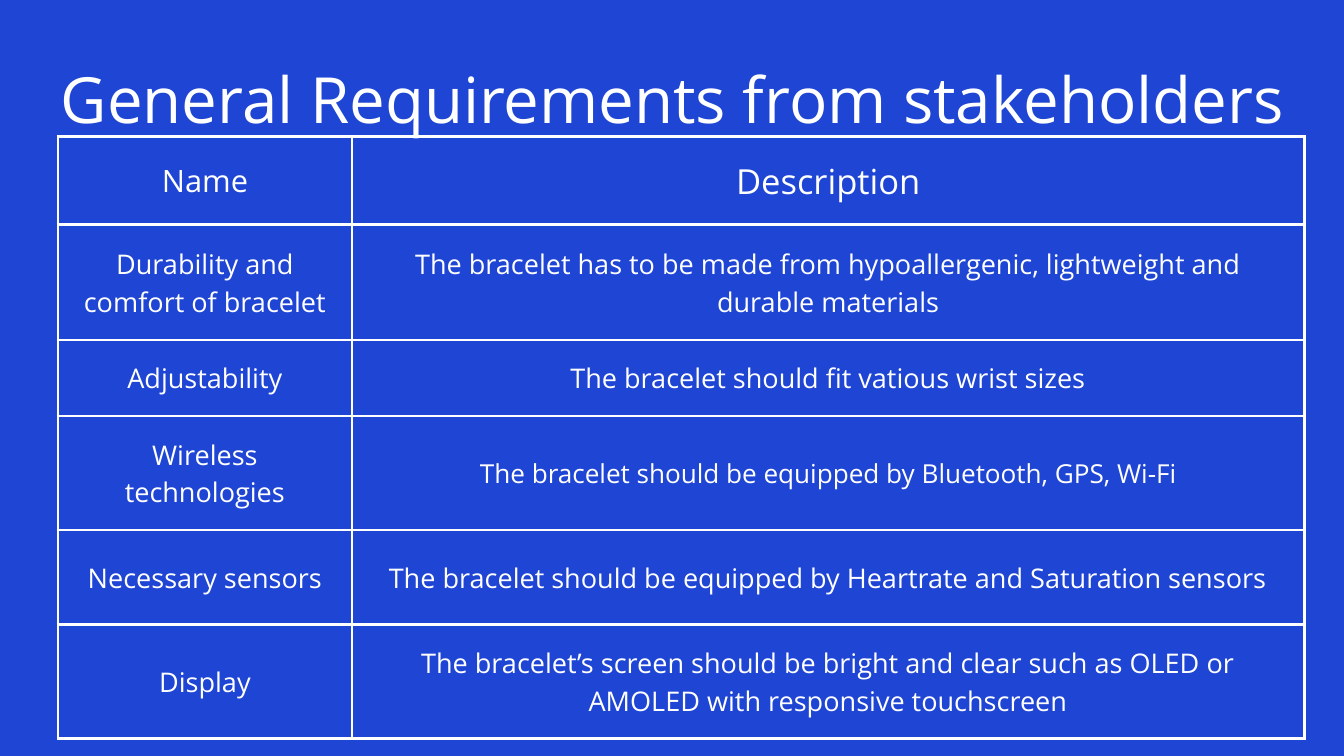
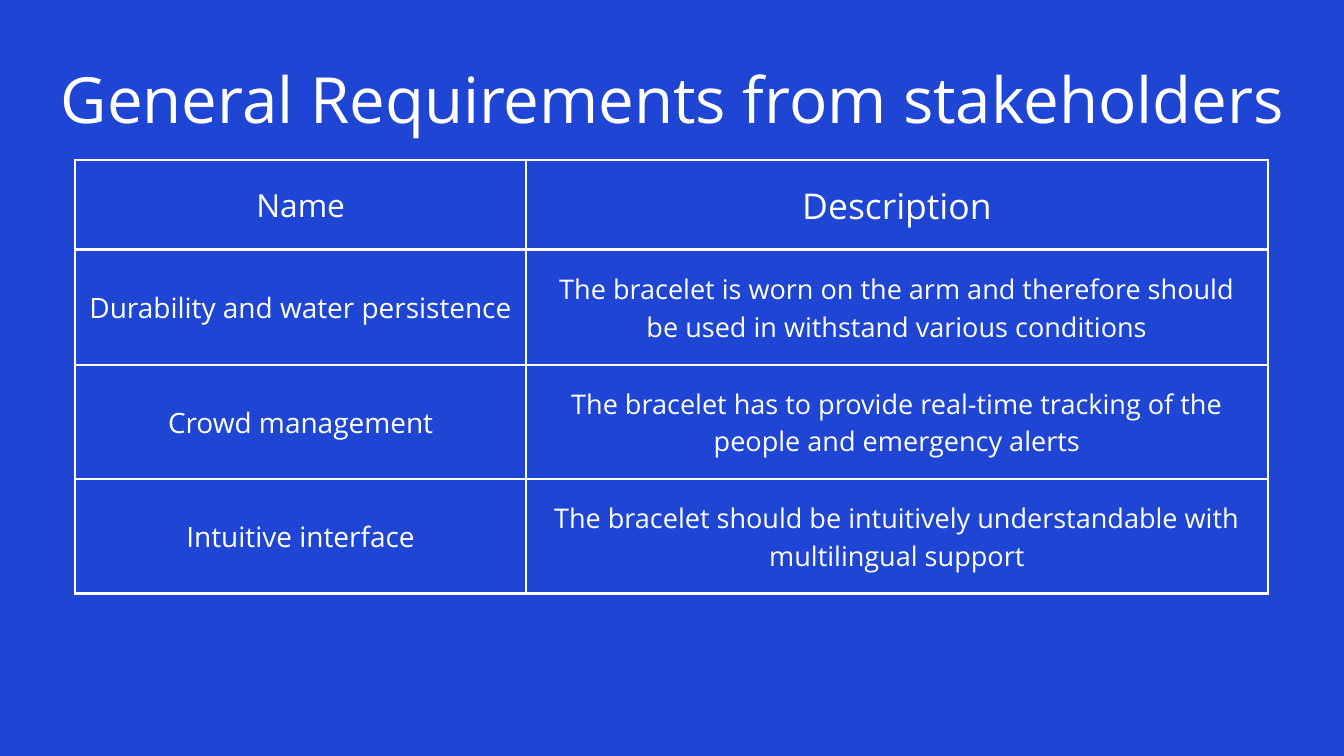
from pptx import Presentation
from pptx.dml.color import RGBColor
from pptx.enum.text import MSO_ANCHOR, MSO_AUTO_SIZE, PP_ALIGN
from pptx.oxml import parse_xml
from pptx.oxml.ns import nsdecls
from pptx.util import Pt

COLORS = {"background": "1E45D4", "ink": "FFFFFF"}
FONT = "Open Sans"
TITLE = "General Requirements from stakeholders"
TITLE_SIZE = 68.2
CELL_INSET = 15
BORDER_WIDTH = 3

PRODUCT_ROWS = [
    (94.3, ("Name", 33), ("Description", 37)),
    (123.8, ("Durability and comfort of bracelet", 29),
     ("The bracelet has to be made from hypoallergenic, lightweight and durable materials", 29)),
    (81.4, ("Adjustability", 29), ("The bracelet should fit vatious wrist sizes", 29)),
    (122.4, ("Wireless technologies", 29),
     ("The bracelet should be equipped by Bluetooth, GPS, Wi-Fi", 28)),
    (100.8, ("Necessary sensors", 29),
     ("The bracelet should be equipped by Heartrate and Saturation sensors", 29)),
    (122.4, ("Display", 29),
     ("The bracelet’s screen should be bright and clear such as OLED or AMOLED "
      "with responsive touchscreen", 29)),
]

USAGE_ROWS = [
    (95.8, ("Name", 34), ("Description", 38)),
    (123.8, ("Durability and water persistence", 30),
     ("The bracelet is worn on the arm and therefore should be used in withstand "
      "various conditions", 29)),
    (122.4, ("Crowd management", 30),
     ("The bracelet has to provide real-time tracking of the people and emergency alerts", 29)),
    (122.4, ("Intuitive interface", 30),
     ("The bracelet should be intuitively understandable with multilingual support", 29)),
]


def write_text(frame, text, size, leading):
    """Put one centred paragraph in the shared font into a text frame."""
    frame.word_wrap = True
    paragraph = frame.paragraphs[0]
    paragraph.text = text
    paragraph.alignment = PP_ALIGN.CENTER
    paragraph.line_spacing = Pt(round(size * leading, 1))
    paragraph.font.name = FONT
    paragraph.font.size = Pt(size)
    paragraph.font.color.rgb = RGBColor.from_string(COLORS["ink"])


def add_borders(cell):
    """Draw the four solid borders of a table cell."""
    properties = cell._tc.get_or_add_tcPr()
    for position, side in enumerate("LRTB"):
        properties.insert(position, parse_xml(
            f'<a:ln{side} {nsdecls("a")} w="{Pt(BORDER_WIDTH)}"><a:solidFill>'
            f'<a:srgbClr val="{COLORS["ink"]}"/></a:solidFill>'
            f'<a:prstDash val="solid"/></a:ln{side}>'))


def fill_cell(cell, text, size):
    """Write and outline one cell that lets the background show."""
    cell.fill.background()
    cell.vertical_anchor = MSO_ANCHOR.MIDDLE
    cell.margin_left = cell.margin_right = Pt(CELL_INSET)
    cell.margin_top = cell.margin_bottom = Pt(CELL_INSET)
    write_text(cell.text_frame, text, size, 1.4)
    add_borders(cell)


def add_requirements(slide, left, top, widths, rows):
    """Add the table of requirement names and descriptions."""
    height = sum(row[0] for row in rows)
    table = slide.shapes.add_table(len(rows), len(widths), Pt(left), Pt(top),
                                   Pt(sum(widths)), Pt(height)).table
    table.first_row = table.horz_banding = False
    for column, width in zip(table.columns, widths):
        column.width = Pt(width)
    for table_row, (row_height, *entries) in zip(table.rows, rows):
        table_row.height = Pt(row_height)
        for cell, (text, size) in zip(table_row.cells, entries):
            fill_cell(cell, text, size)


def add_title(slide):
    """Add the heading that the slides share."""
    frame = slide.shapes.add_textbox(Pt(42.5), Pt(64), Pt(1355.8), Pt(82.8)).text_frame
    frame.margin_left = frame.margin_right = frame.margin_top = frame.margin_bottom = 0
    write_text(frame, TITLE, TITLE_SIZE, 1.2)
    frame.auto_size = MSO_AUTO_SIZE.SHAPE_TO_FIT_TEXT


def add_requirements_slide(deck, left, top, widths, rows):
    """Add a blue slide with its table and heading."""
    slide = deck.slides.add_slide(deck.slide_layouts[6])
    background = slide.background.fill
    background.solid()
    background.fore_color.rgb = RGBColor.from_string(COLORS["background"])
    add_requirements(slide, left, top, widths, rows)
    add_title(slide)


def main():
    """Build and save the deck."""
    deck = Presentation()
    deck.slide_width, deck.slide_height = Pt(1440), Pt(810)
    add_requirements_slide(deck, 61.9, 146.2, (315.4, 1020.2), PRODUCT_ROWS)
    add_requirements_slide(deck, 80.6, 171.4, (483.1, 794.9), USAGE_ROWS)
    deck.save("out.pptx")


if __name__ == "__main__":
    main()
